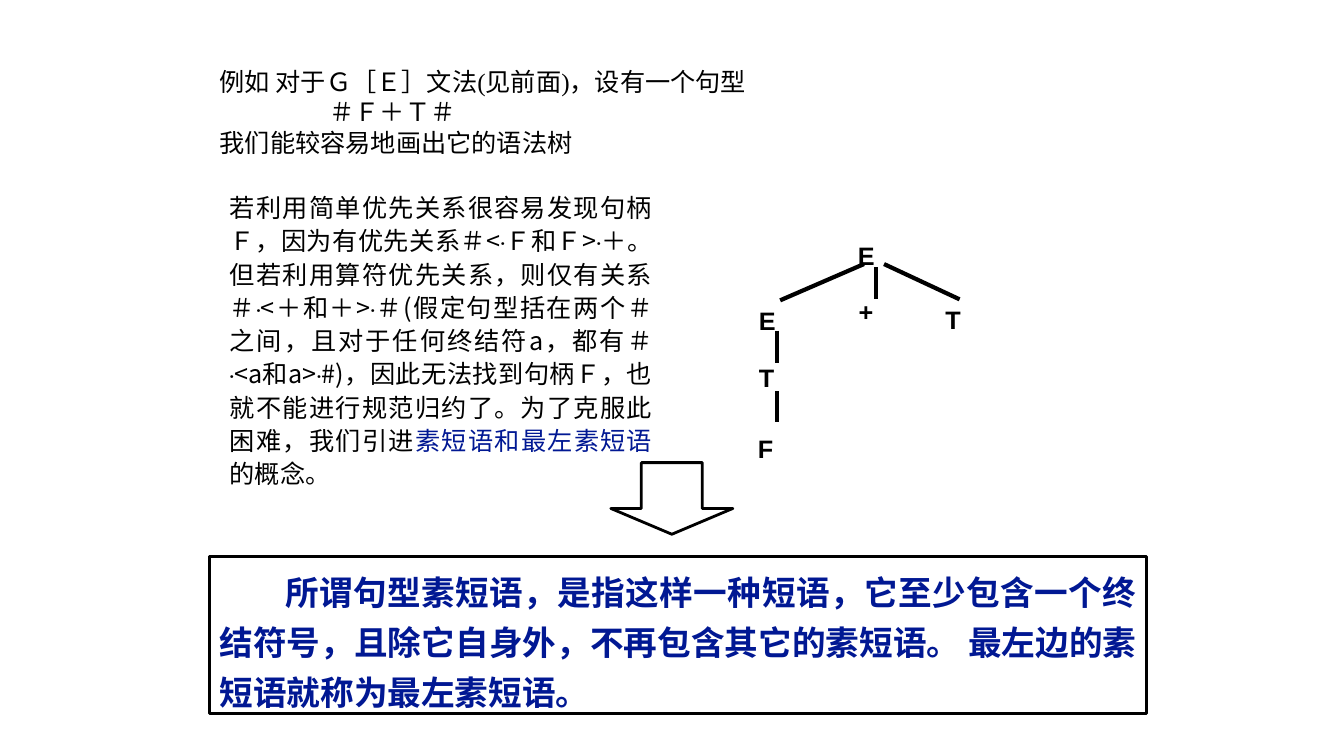
import itertools

import pptx
import pptx.dml.color
import pptx.enum.shapes
import pptx.enum.text
import pptx.oxml.ns
import pptx.util
from lxml import etree

COLORS = {"ink": "000000", "blue": "011893"}
WIDTH, HEIGHT = pptx.util.Inches(13.33), pptx.util.Inches(7.5)
SHAPE = pptx.enum.shapes.MSO_SHAPE
JUSTIFY = pptx.enum.text.PP_ALIGN.JUSTIFY

INTRO = [
    ("例如 对于Ｇ［Ｅ］文法(见前面)，设有一个句型", 0),
    ("＃Ｆ＋Ｔ＃", 1.09),
    ("我们能较容易地画出它的语法树", 0),
]
ARGUMENT = [
    ("若利用简单优先关系很容易发现句柄Ｆ，因为有优先关系＃<·Ｆ和Ｆ>·＋。"
     "但若利用算符优先关系，则仅有关系＃·<＋和＋>·＃(假定句型括在两个＃之间，"
     "且对于任何终结符a，都有＃·<a和a>·#)，因此无法找到句柄Ｆ，"
     "也就不能进行规范归约了。为了克服此困难，我们引进", "ink"),
    ("素短语和最左素短语", "blue"),
    ("的概念。", "ink"),
]
DEFINITION = ("所谓句型素短语，是指这样一种短语，它至少包含一个终结符号，"
              "且除它自身外，不再包含其它的素短语。 最左边的素短语就称为最左素短语。")

# Positions are percentages of the slide's width and height.
TREE_NODES = [
    ("E", 63.1, 31.07),
    ("E", 55.73, 39.73), ("+", 63.15, 38.53), ("T", 69.6, 39.6),
    ("T", 55.73, 47.33),
    ("F", 55.65, 56.67),
]
TREE_EDGES = [
    (64.28, 34.93, 58.05, 39.73),
    (65.18, 35.33, 65.18, 39.6),
    (65.78, 34.93, 71.4, 39.6),
    (57.83, 43.73, 57.83, 48),
    (57.83, 51.73, 57.83, 55.87),
]


def place(*shares):
    """Turn alternating x and y percentages into slide lengths."""
    return [int(size * share / 100)
            for size, share in zip(itertools.cycle((WIDTH, HEIGHT)), shares)]


def rgb(name):
    return pptx.dml.color.RGBColor.from_string(COLORS[name])


def format_run(r, font, size, color="ink", bold=False):
    r.font.name = font
    r.font.size = pptx.util.Pt(size)
    r.font.bold = bold
    r.font.color.rgb = rgb(color)


def set_indent(p, left=0, first=0):
    pPr = p._p.get_or_add_pPr()
    pPr.set("marL", str(pptx.util.Inches(left)))
    pPr.set("indent", str(pptx.util.Inches(first)))


def add_text(s, *box):
    tf = s.shapes.add_textbox(*place(*box)).text_frame
    tf.word_wrap = True
    return tf


def add_outline(s, kind, *box):
    sp = s.shapes.add_shape(kind, *place(*box))
    sp.shadow.inherit = False
    sp.fill.background()
    sp.line.color.rgb = rgb("ink")
    sp.line.width = pptx.util.Pt(2)
    return sp


def add_intro(s):
    tf = add_text(s, 15.6, 8.13, 68.5, 13.47)
    tf.text = "\n".join(text for text, _ in INTRO)
    for p, (_, left) in zip(tf.paragraphs, INTRO):
        set_indent(p, left)
        format_run(p.runs[0], "Times New Roman", 18)


def add_argument(s):
    """Add the explanation, with the precedence dots in their own font."""
    p = add_text(s, 12.68, 24.4, 36.6, 41.33).paragraphs[0]
    set_indent(p, 0.49)
    p.alignment = JUSTIFY
    p.line_spacing = 1.1
    for text, color in ARGUMENT:
        for is_dot, chars in itertools.groupby(text, lambda c: c == "·"):
            r = p.add_run()
            r.text = "".join(chars)
            format_run(r, "Karla" if is_dot else "Noto Sans CJK SC", 18, color)


def add_node(s, label, x, y):
    tf = add_text(s, x, y, 4.13, 5.33)
    tf.text = label
    format_run(tf.paragraphs[0].runs[0], "Arial", 18, bold=True)


def add_edge(s, *ends):
    line = s.shapes.add_connector(
        pptx.enum.shapes.MSO_CONNECTOR.STRAIGHT, *place(*ends))
    line.line.color.rgb = rgb("ink")
    line.line.width = pptx.util.Pt(3)
    etree.SubElement(line._element.spPr, pptx.oxml.ns.qn("a:effectLst"))


def add_definition(s):
    tf = add_outline(s, SHAPE.RECTANGLE, 15.6, 73.6, 69.7, 20.8).text_frame
    tf.word_wrap = True
    tf.vertical_anchor = pptx.enum.text.MSO_ANCHOR.TOP
    tf.text = DEFINITION
    p = tf.paragraphs[0]
    set_indent(p, first=0.65)
    p.alignment = JUSTIFY
    p.line_spacing = 1.25
    format_run(p.runs[0], "Times New Roman", 24, "blue", True)


def add_down_arrow(s):
    sp = add_outline(s, SHAPE.DOWN_ARROW, 45.45, 61.2, 9.08, 9.47)
    sp.adjustments[0] = 0.5
    sp.adjustments[1] = 0.36


def main():
    prs = pptx.Presentation()
    prs.slide_width, prs.slide_height = WIDTH, HEIGHT
    s = prs.slides.add_slide(prs.slide_layouts[6])
    add_intro(s)
    for node in TREE_NODES:
        add_node(s, *node)
    for edge in TREE_EDGES:
        add_edge(s, *edge)
    add_argument(s)
    add_definition(s)
    add_down_arrow(s)
    prs.save("out.pptx")


if __name__ == "__main__":
    main()
